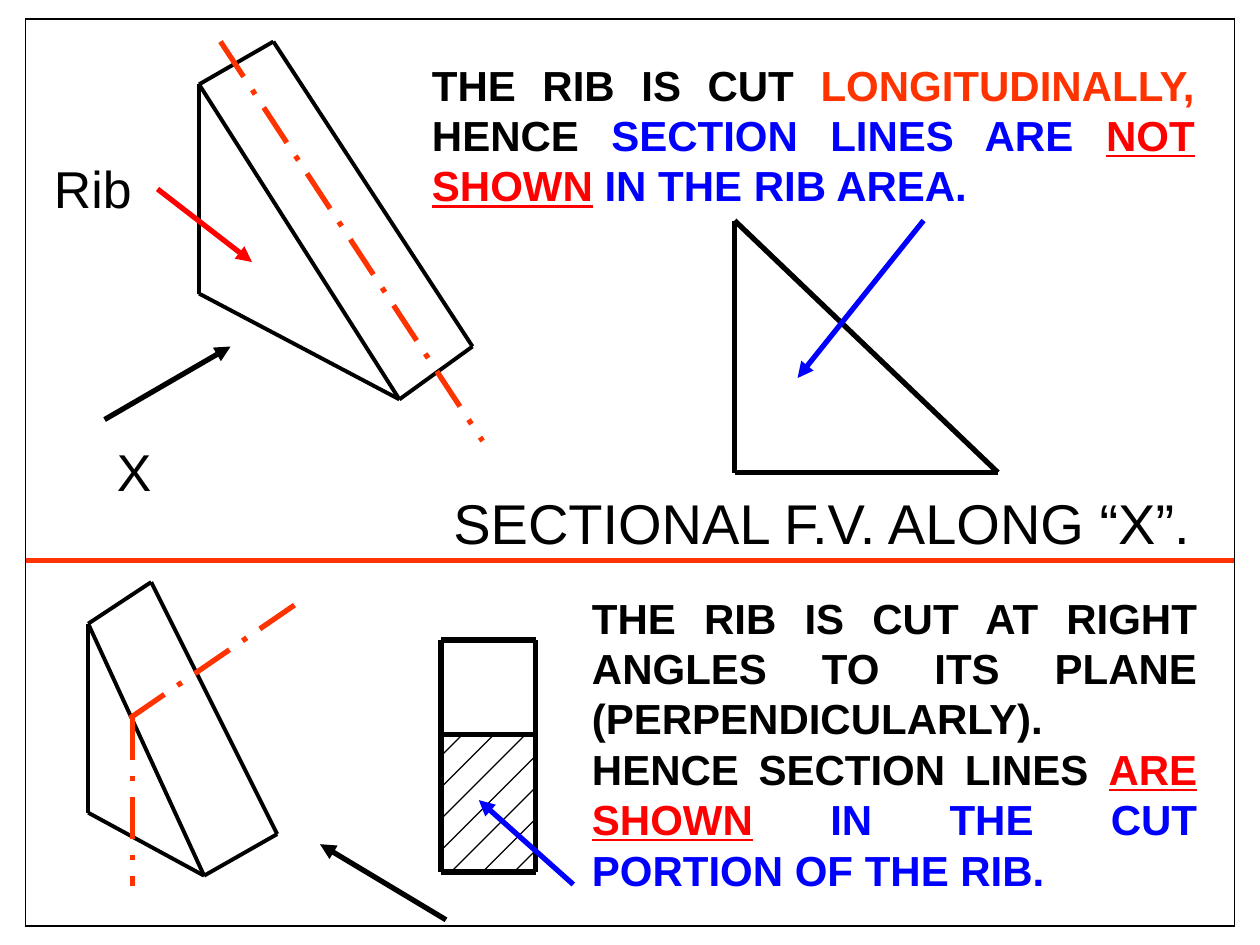
"""Build a slide on section lines in ribs cut along and across their plane."""
import itertools

import pptx
import pptx.dml.color
import pptx.enum.dml
import pptx.enum.text
import pptx.oxml
import pptx.oxml.ns
import pptx.util
from pptx.util import Inches

COLORS = {"black": "000000", "orange": "FF3300", "blue": "0000FF", "red": "FF0000"}
LEFT = pptx.enum.text.PP_ALIGN.LEFT
JUSTIFY = pptx.enum.text.PP_ALIGN.JUSTIFY


class SlideDrawing:
    """Hold the font and the current slide, and draw its elements."""

    font_name = "Arial"

    def __init__(self, slide):
        self.slide = slide

    def line(self, start, end, color="black", width=3, dashed=False, arrow=False):
        """Draw one straight line, optionally dashed or with an arrowhead."""
        connector = self.slide.shapes.add_connector(
            pptx.enum.shapes.MSO_CONNECTOR.STRAIGHT, *map(Inches, (*start, *end))
        )
        connector.line.width = pptx.util.Pt(width)
        connector.line.color.rgb = pptx.dml.color.RGBColor.from_string(COLORS[color])
        if dashed:
            connector.line.dash_style = pptx.enum.dml.MSO_LINE.LONG_DASH_DOT
        namespace = pptx.oxml.ns.nsdecls("a")
        if arrow:
            connector.line._get_or_add_ln().append(
                pptx.oxml.parse_xml(f'<a:tailEnd {namespace} type="triangle"/>')
            )
        connector._element.spPr.append(pptx.oxml.parse_xml(f"<a:effectLst {namespace}/>"))

    def outline(self, points, width=3):
        """Join consecutive points with lines."""
        for start, end in itertools.pairwise(points):
            self.line(start, end, width=width)

    def box(self, left, top, right, bottom, width=3):
        """Outline a rectangle."""
        corners = [(left, top), (right, top), (right, bottom), (left, bottom), (left, top)]
        self.outline(corners, width)

    def rib(self, top, foot, tip, back_top, back_tip):
        """Draw a wedge-shaped rib with its sloping face."""
        self.outline([top, foot, tip, top, back_top, back_tip, tip], width=2.25)

    def hatch(self, left, top, right, bottom, gap):
        """Fill a rectangle with thin section lines at 45 degrees."""
        count = int((right - left + bottom - top) / gap)
        for step in range(count):
            total = round(left + top, 2) + 0.17 + step * gap
            start_x = min(right, total - top)
            end_y = min(bottom, total - left)
            self.line((start_x, total - start_x), (total - end_y, end_y), width=0.75)

    def text(self, place, runs, size, bold=False, alignment=LEFT, line_spacing=1.0):
        """Add a wrapped text box of (text, color, underline) runs."""
        frame = self.slide.shapes.add_textbox(*map(Inches, place)).text_frame
        frame.word_wrap = True
        paragraph = frame.paragraphs[0]
        paragraph.alignment = alignment
        paragraph.line_spacing = line_spacing
        for words, color, underline in runs:
            run = paragraph.add_run()
            run.text = words
            formats = {"name": self.font_name, "size": pptx.util.Pt(size),
                       "bold": bold, "underline": underline}
            for attribute, value in formats.items():
                setattr(run.font, attribute, value)
            run.font.color.rgb = pptx.dml.color.RGBColor.from_string(COLORS[color])


def draw_longitudinal_cut(drawing):
    """Draw the upper half, with the rib cut along its plane."""
    drawing.rib((1.58, 0.67), (1.58, 2.33), (3.17, 3.17), (2.17, 0.33), (3.75, 2.75))
    drawing.line((1.75, 0.33), (3.83, 3.5), "orange", dashed=True)
    drawing.line((0.83, 3.33), (1.83, 2.75), arrow=True)
    drawing.text((0.83, 3.5, 0.67, 0.63), [("X", "black", False)], 29.6, line_spacing=0.9)
    drawing.text((0.33, 1.25, 1.17, 0.63), [("Rib", "black", False)], 29.6, line_spacing=0.9)
    drawing.line((1.25, 1.5), (2, 2.08), "red", arrow=True)
    drawing.text((3.33, 0.42, 6.25, 1.3), [
        ("THE RIB IS CUT ", "black", False),
        ("LONGITUDINALLY,", "orange", False),
        (" HENCE", "black", False),
        (" SECTION LINES ARE ", "blue", False),
        ("NOT", "red", True),
        (" ", "red", False),
        ("SHOWN", "red", True),
        (" IN THE RIB AREA.", "blue", False),
    ], 24, bold=True, alignment=JUSTIFY)
    drawing.outline([(5.83, 1.75), (5.83, 3.75), (7.92, 3.75), (5.83, 1.75)])
    drawing.line((7.33, 1.75), (6.33, 3), "blue", arrow=True)
    drawing.text((3.5, 3.83, 6.5, 0.64), [("SECTIONAL F.V. ALONG “X”.", "black", False)], 32)


def draw_perpendicular_cut(drawing):
    """Draw the lower half, with the rib cut across its plane."""
    drawing.rib((0.7, 4.95), (0.7, 6.45), (1.62, 6.95), (1.2, 4.62), (2.2, 6.62))
    drawing.line((1.03, 5.7), (2.37, 4.78), "orange", dashed=True)
    drawing.line((1.05, 5.7), (1.05, 7.03), "orange", dashed=True)
    drawing.line((3.54, 7.3), (2.54, 6.7), arrow=True)
    drawing.box(3.5, 5.08, 4.25, 6.92)
    drawing.line((3.5, 5.83), (4.25, 5.83))
    drawing.hatch(3.5, 5.83, 4.25, 6.92, gap=0.25)
    drawing.text((4.6, 4.65, 5, 2.5), [
        ("THE RIB IS CUT AT RIGHT ANGLES TO ITS PLANE (PERPENDICULARLY). "
         "HENCE SECTION LINES ", "black", False),
        ("ARE", "red", True),
        (" ", "red", False),
        ("SHOWN", "red", True),
        (" ", "black", False),
        ("IN THE CUT PORTION OF THE RIB.", "blue", False),
    ], 24, bold=True, alignment=JUSTIFY)
    drawing.line((4.55, 7.02), (3.8, 6.35), "blue", arrow=True)


def main():
    """Create the presentation and save it."""
    presentation = pptx.Presentation()
    presentation.slide_width = Inches(10)
    presentation.slide_height = Inches(7.5)
    blank_layout = presentation.slide_layouts.get_by_name("Blank")
    drawing = SlideDrawing(presentation.slides.add_slide(blank_layout))
    draw_longitudinal_cut(drawing)
    draw_perpendicular_cut(drawing)
    drawing.line((0.2, 4.45), (9.8, 4.45), "orange")
    drawing.box(0.2, 0.15, 9.8, 7.35, width=0.75)
    presentation.save("out.pptx")


if __name__ == "__main__":
    main()
